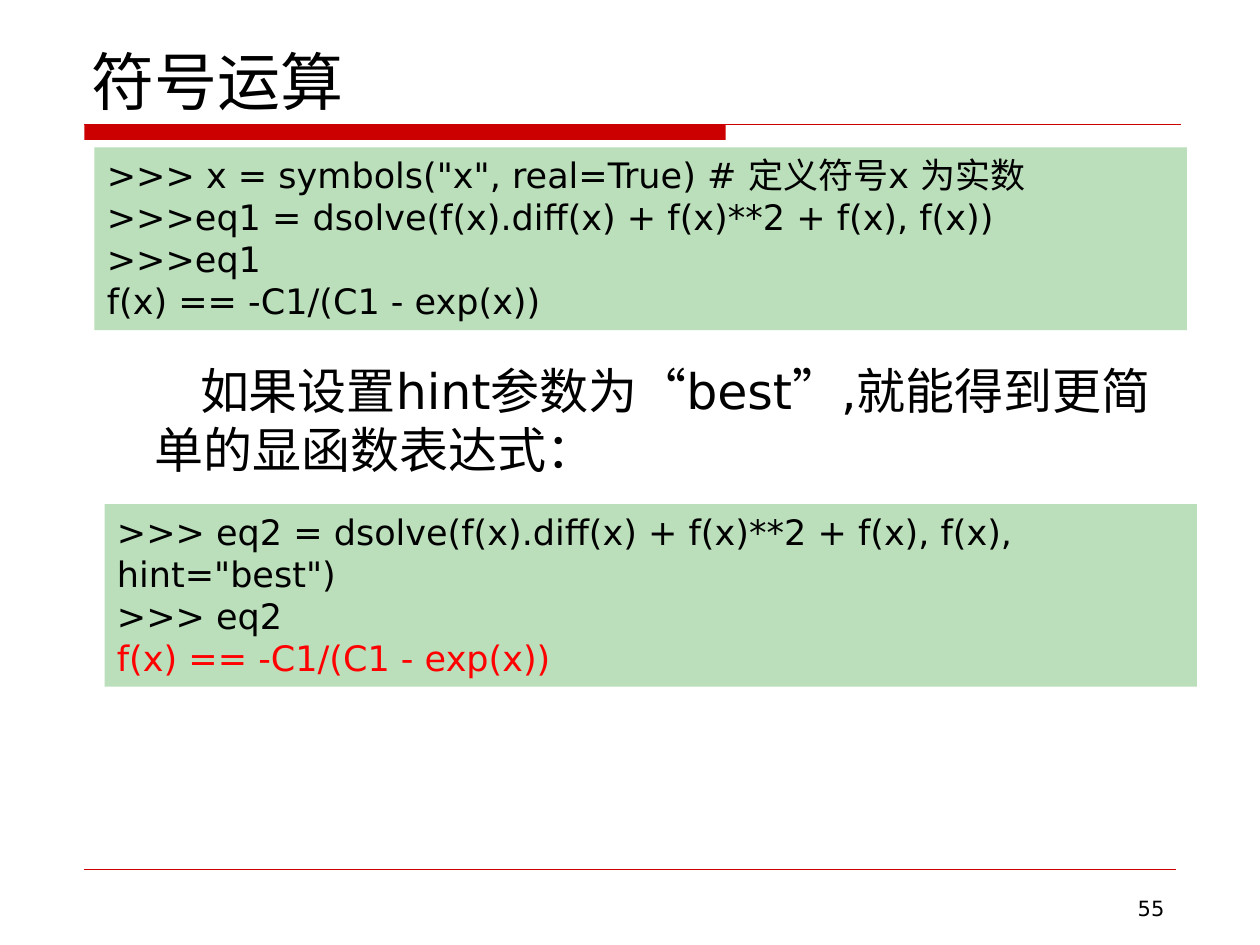
"""Build the slide on symbolic computation."""
from lxml import etree
from pptx import Presentation
from pptx.dml.color import RGBColor
from pptx.enum import shapes, text
from pptx.oxml import ns
from pptx.util import Inches, Pt

BLACK = RGBColor(0, 0, 0)
RED = RGBColor(255, 0, 0)
RULE_RED = RGBColor(204, 0, 0)
GREEN = RGBColor(187, 223, 187)
FONT = "DejaVu Sans"

TITLE = "符号运算"
NOTE = "如果设置hint参数为“best”,就能得到更简单的显函数表达式："
PAGE = "55"
CODE_BLOCKS = [
    ((0.75, 1.17), [
        ('>>> x = symbols("x", real=True) # 定义符号x 为实数', BLACK),
        (">>>eq1 = dsolve(f(x).diff(x) + f(x)**2 + f(x), f(x))", BLACK),
        (">>>eq1", BLACK),
        ("f(x) == -C1/(C1 - exp(x))", BLACK),
    ]),
    ((0.83, 4), [
        ('>>> eq2 = dsolve(f(x).diff(x) + f(x)**2 + f(x), f(x), hint="best")', BLACK),
        (">>> eq2", BLACK),
        ("f(x) == -C1/(C1 - exp(x))", RED),
    ]),
]
CODE_SIZE = (8.67, 1.45)
RULES = [((0.67, 0.99), (9.37, 0.99), 0.75), ((0.67, 6.9), (9.33, 6.9), 0.25)]


def write(tf, content, size=20, color=BLACK, align=text.PP_ALIGN.LEFT,
          anchor=text.MSO_ANCHOR.TOP, indent=0, first=True):
    tf.word_wrap = True
    tf.vertical_anchor = anchor
    p = tf.paragraphs[0] if first else tf.add_paragraph()
    p.alignment = align
    if indent:
        p._p.get_or_add_pPr().set("indent", str(Inches(indent)))
    r = p.add_run()
    r.text = content
    r.font.name = FONT
    r.font.size = Pt(size)
    r.font.color.rgb = color


def add_box(s, box, content, **fmt):
    tb = s.shapes.add_textbox(*map(Inches, box))
    write(tb.text_frame, content, **fmt)


def add_rect(s, box, fill):
    sp = s.shapes.add_shape(shapes.MSO_SHAPE.RECTANGLE, *map(Inches, box))
    sp.shadow.inherit = False
    sp.fill.solid()
    sp.fill.fore_color.rgb = fill
    sp.line.fill.background()
    return sp


def add_rule(s, start, end, width):
    c = s.shapes.add_connector(shapes.MSO_CONNECTOR.STRAIGHT, *map(Inches, start + end))
    c.line.color.rgb = RULE_RED
    c.line.width = Pt(width)
    etree.SubElement(c._element.spPr, ns.qn("a:effectLst"))


def main():
    prs = Presentation()
    prs.slide_width, prs.slide_height = Inches(10), Inches(7.5)
    s = prs.slides.add_slide(prs.slide_layouts[6])
    add_rect(s, (0.67, 0.99, 5.09, 0.12), RULE_RED)
    for rule in RULES:
        add_rule(s, *rule)
    add_box(s, (0.63, 0.33, 8.75, 0.66), TITLE, size=36, anchor=text.MSO_ANCHOR.BOTTOM)
    add_box(s, (7.17, 7.06, 2.17, 0.29), PAGE, size=12, align=text.PP_ALIGN.RIGHT)
    add_box(s, (1.13, 2.81, 8.24, 1.05), NOTE, size=28, indent=0.36)
    for pos, lines in CODE_BLOCKS:
        sp = add_rect(s, pos + CODE_SIZE, GREEN)
        for i, (line, color) in enumerate(lines):
            write(sp.text_frame, line, color=color, first=i == 0)
    prs.save("out.pptx")


if __name__ == "__main__":
    main()
